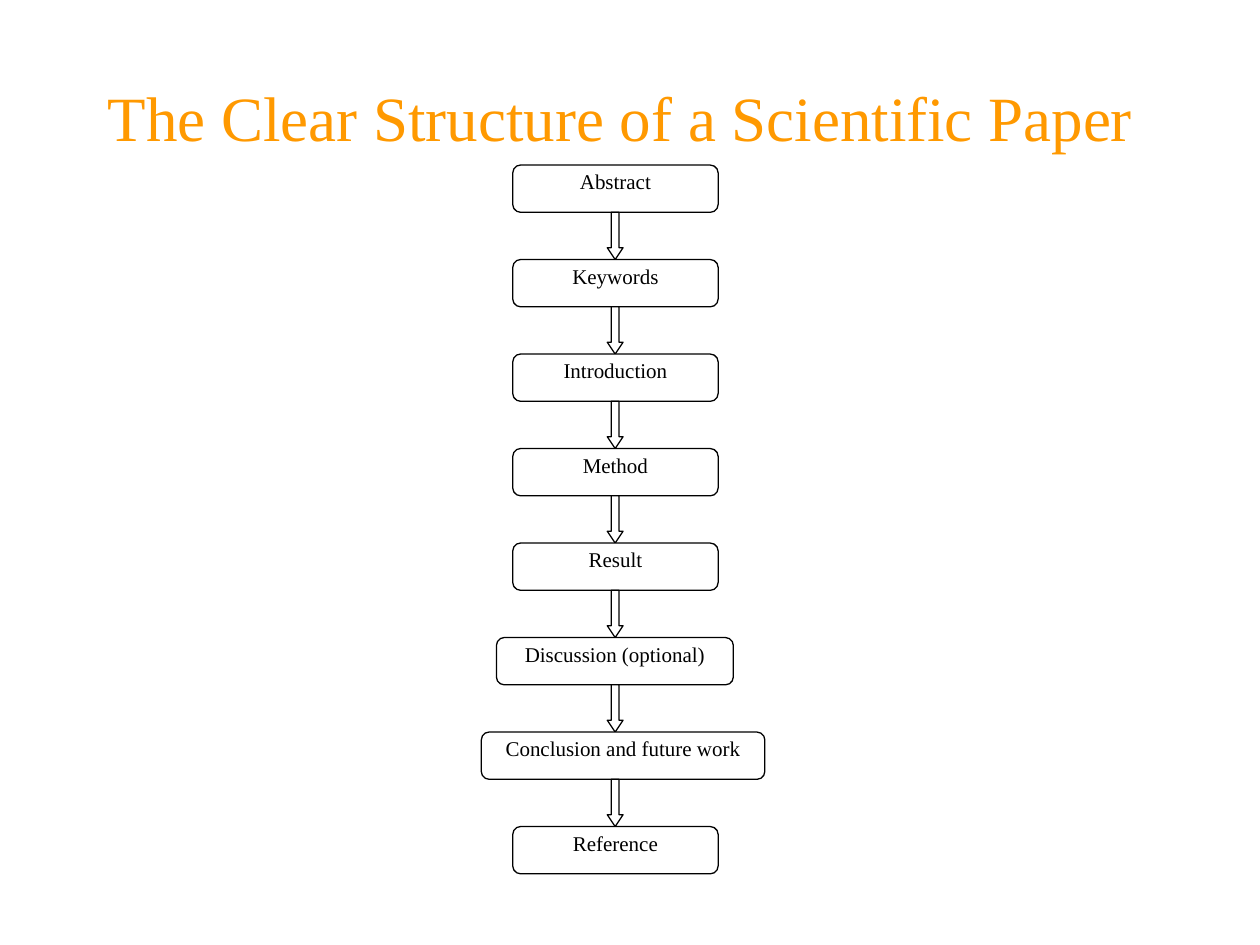
from dataclasses import dataclass

from pptx import Presentation
from pptx import util as u
from pptx.dml.color import RGBColor
from pptx.enum import shapes, text

COLORS = {"title": "FF9900", "ink": "000000", "paper": "FFFFFF"}
FONT = "Times New Roman"

# Flow geometry, in inches
FIRST_TOP = 1.31
PITCH = 0.75
STEP_HEIGHT = 0.375
ARROW_LEFT, ARROW_WIDTH = 4.82, 0.125


@dataclass
class Section:
    label: str
    left: float = 4.07
    width: float = 1.63


SECTIONS = [
    Section("Abstract"),
    Section("Keywords"),
    Section("Introduction"),
    Section("Method"),
    Section("Result"),
    Section("Discussion (optional)", 3.94, 1.88),
    Section("Conclusion and future work", 3.82, 2.25),
    Section("Reference"),
]


def rgb(name: str) -> RGBColor:
    return RGBColor.from_string(COLORS[name])


def write(frame, words: str, size: float, color: str) -> None:
    """Put one centred paragraph in a text frame."""
    frame.word_wrap = True
    paragraph = frame.paragraphs[0]
    paragraph.text = words
    paragraph.alignment = text.PP_ALIGN.CENTER
    paragraph.font.name = FONT
    paragraph.font.size = u.Pt(size)
    paragraph.font.color.rgb = rgb(color)


def add_outlined(slide, kind, left: float, top: float, width: float):
    """Add a white shape with a thin black outline."""
    outlined = slide.shapes.add_shape(
        kind, u.Inches(left), u.Inches(top), u.Inches(width), u.Inches(STEP_HEIGHT))
    outlined.shadow.inherit = False
    outlined.fill.solid()
    outlined.fill.fore_color.rgb = rgb("paper")
    outlined.line.color.rgb = rgb("ink")
    outlined.line.width = u.Pt(0.75)
    return outlined


def add_section(slide, section: Section, top: float) -> None:
    step = add_outlined(slide, shapes.MSO_SHAPE.ROUNDED_RECTANGLE,
                        section.left, top, section.width)
    frame = step.text_frame
    frame.margin_left = frame.margin_right = u.Inches(0.08)
    frame.margin_top = frame.margin_bottom = u.Inches(0.01)
    frame.vertical_anchor = text.MSO_ANCHOR.TOP
    write(frame, section.label, 12, "ink")


def add_arrow(slide, top: float) -> None:
    arrow = add_outlined(slide, shapes.MSO_SHAPE.DOWN_ARROW,
                         ARROW_LEFT, top, ARROW_WIDTH)
    arrow.adjustments[0] = 0.5
    arrow.adjustments[1] = 0.75


def main() -> None:
    deck = Presentation()
    deck.slide_width, deck.slide_height = u.Inches(10), u.Inches(7.5)
    slide = deck.slides.add_slide(deck.slide_layouts[6])

    # Title, set slightly left of centre by its right margin
    title = slide.shapes.add_textbox(
        u.Inches(0.5), u.Inches(0.3), u.Inches(9), u.Inches(1.25)).text_frame
    title.vertical_anchor = text.MSO_ANCHOR.MIDDLE
    title.margin_right = u.Inches(0.25)
    write(title, "The Clear Structure of a Scientific Paper", 36, "title")

    # Sections from top to bottom, an arrow between each pair
    for index, section in enumerate(SECTIONS):
        top = FIRST_TOP + index * PITCH
        add_section(slide, section, top)
        if index < len(SECTIONS) - 1:
            add_arrow(slide, top + STEP_HEIGHT)

    deck.save("out.pptx")


if __name__ == "__main__":
    main()
